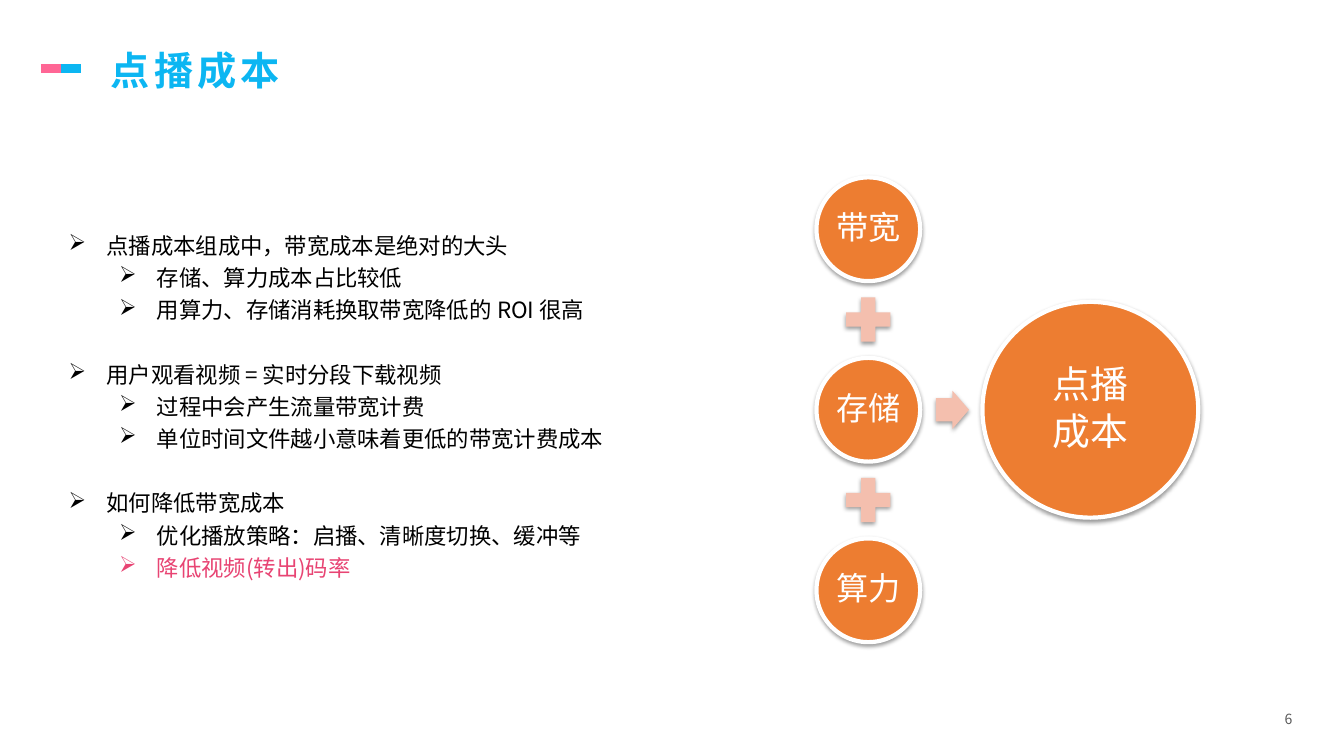
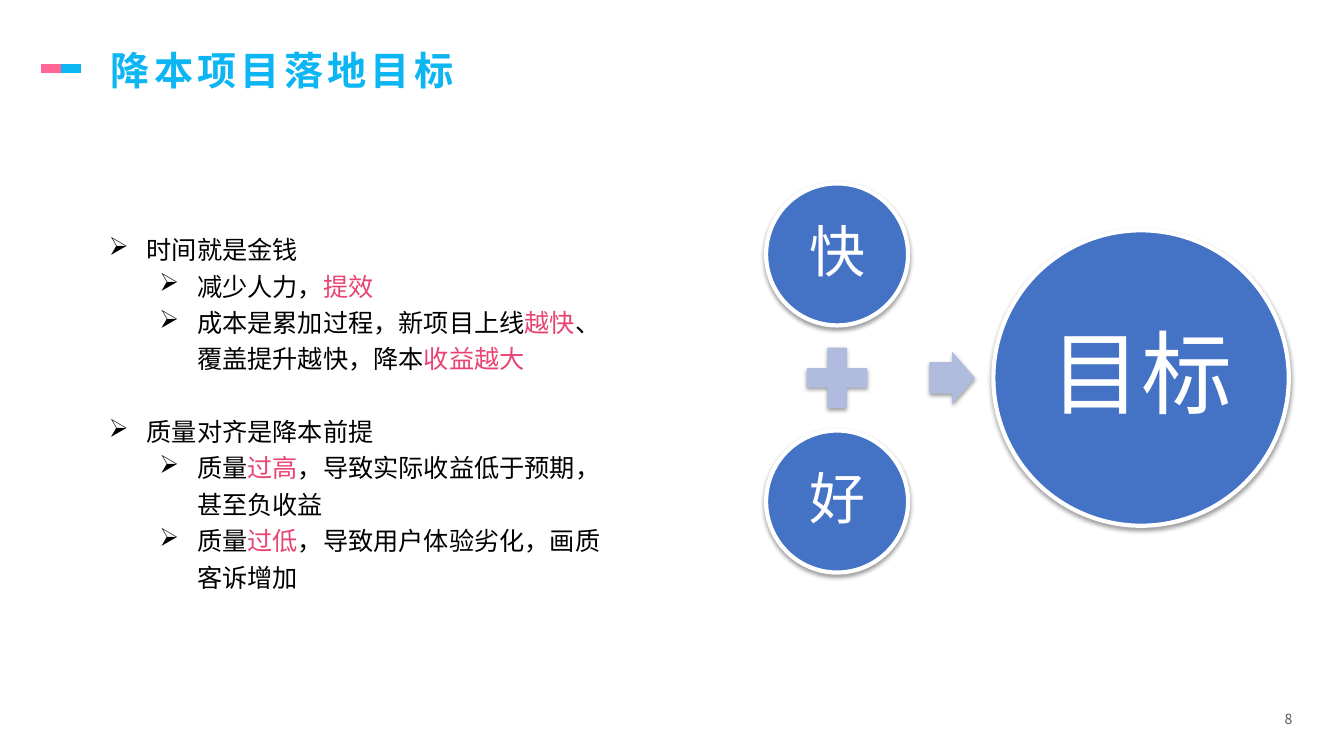
from itertools import cycle

from lxml.etree import SubElement
from pptx import Presentation
from pptx.dml.color import RGBColor
from pptx.enum.shapes import MSO_CONNECTOR as LINE, MSO_SHAPE as SHAPE
from pptx.enum.text import MSO_ANCHOR as ANCHOR, PP_ALIGN as ALIGN
from pptx.oxml.ns import qn
from pptx.util import Pt

FONT = "Noto Sans CJK SC"
SKY = RGBColor(0x0C, 0xB6, 0xF2)
ROSE = RGBColor(0xFF, 0x66, 0x95)
PINK = RGBColor(0xE8, 0x44, 0x73)
INK = RGBColor(0, 0, 0)
GREY = RGBColor(0x59, 0x59, 0x59)
WHITE = RGBColor(0xFF, 0xFF, 0xFF)
ORANGE = RGBColor(0xED, 0x7D, 0x31)
PEACH = RGBColor(0xF4, 0xBF, 0xAE)
BLUE = RGBColor(0x44, 0x72, 0xC4)
PALE_BLUE = RGBColor(0xB0, 0xBC, 0xDE)


def add_run(paragraph, words, size, color, bold=False):
    """Add one styled run and return it."""
    run = paragraph.add_run()
    run.text = words
    font = run.font
    font.size, font.bold, font.name = Pt(size), bold, FONT
    font.color.rgb = color
    SubElement(font._element, qn("a:ea"), typeface=FONT)
    return run


def set_frame(shape, across, down):
    """Prepare a wrapping, vertically centred text frame."""
    frame = shape.text_frame
    frame.word_wrap = True
    frame.vertical_anchor = ANCHOR.MIDDLE
    frame.margin_left = frame.margin_right = Pt(across)
    frame.margin_top = frame.margin_bottom = Pt(down)
    return frame


def add_text_box(slide, box, across, down):
    """Add a text box and return its frame."""
    return set_frame(slide.shapes.add_textbox(*map(Pt, box)), across, down)


def add_header(slide, title, box):
    """Draw the two-colour dash and the title in the given box."""
    left, top, width, height = box
    middle, dash = top + 27.4, 14.25
    for i, color in enumerate((ROSE, SKY)):
        start = left + i * dash
        line = slide.shapes.add_connector(
            LINE.STRAIGHT, Pt(start), Pt(middle), Pt(start + dash), Pt(middle))
        line.line.color.rgb, line.line.width = color, Pt(6)
        SubElement(line._element.spPr, qn("a:effectLst"))
    frame = add_text_box(slide, (left + 42.7, top, width - 42.7, height), 7.2, 3.6)
    run = add_run(frame.paragraphs[0], title, 28, SKY, True)
    run.font._element.set("spc", "300")


def add_page_number(slide, number, box):
    """Write the page number at the right of its box."""
    paragraph = add_text_box(slide, box, 7.2, 3.6).paragraphs[0]
    paragraph.alignment = ALIGN.RIGHT
    add_run(paragraph, str(number), 10, GREY)


def add_outline(slide, groups, size, box):
    """List groups of points; each point alternates plain and pink parts."""
    frame = add_text_box(slide, box, 5.8, 5.8)
    pitch = round(size * 1.44)
    paragraph = None
    for group in groups:
        for level, parts in enumerate(group):
            first = paragraph is None
            paragraph = frame.paragraphs[0] if first else frame.add_paragraph()
            paragraph.level = min(level, 1)
            paragraph.line_spacing = Pt(pitch)
            if level == 0 and not first:
                paragraph.space_before = Pt(pitch)
            props = paragraph._p.get_or_add_pPr()
            props.set("marL", str(Pt(27 + 36 * paragraph.level)))
            props.set("indent", str(Pt(-27)))
            SubElement(props, qn("a:buChar"), char="➢")
            for words, color in zip(parts, cycle((INK, PINK))):
                if words:
                    add_run(paragraph, words, size, color)


def add_solid(slide, kind, box, color):
    """Add a filled preset shape with a soft shadow below it."""
    shape = slide.shapes.add_shape(kind, *map(Pt, box))
    shape.fill.solid()
    shape.fill.fore_color.rgb = color
    shape.line.fill.background()
    shape.shadow.inherit = False
    effects = shape._element.spPr.find(qn("a:effectLst"))
    shadow = SubElement(effects, qn("a:outerShdw"), blurRad=str(Pt(3.1)),
                        dist=str(Pt(1.6)), dir="5400000", rotWithShape="0")
    shade = SubElement(shadow, qn("a:srgbClr"), val="000000")
    SubElement(shade, qn("a:alpha"), val="38000")
    return shape


def add_disc(slide, lines, size, box, color):
    """Add a white-rimmed circle with centred lines."""
    disc = add_solid(slide, SHAPE.OVAL, box, color)
    disc.line.color.rgb, disc.line.width = WHITE, Pt(3)
    frame = set_frame(disc, 2, 2)
    for i, words in enumerate(lines):
        paragraph = frame.add_paragraph() if i else frame.paragraphs[0]
        paragraph.alignment = ALIGN.CENTER
        paragraph.line_spacing = 0.9
        if i:
            paragraph.space_before = Pt(4)
        add_run(paragraph, words, size, WHITE)


def add_equation(slide, terms, result, sizes, colors, box):
    """Stack terms joined by plus signs, with an arrow to the result."""
    left, top, height = box
    strong, pale = colors
    term_size, result_size = sizes
    disc = height / (len(terms) + 0.74 * (len(terms) - 1))
    plus, gap = 0.58 * disc, 0.08 * disc
    for i, term in enumerate(terms):
        y = top + i * (disc + plus + 2 * gap)
        if i:
            add_solid(slide, SHAPE.MATH_PLUS,
                      (left + (disc - plus) / 2, y - gap - plus, plus, plus), pale)
        add_disc(slide, [term], term_size, (left, y, disc, disc), strong)
    middle = top + height / 2
    arrow_width, arrow_height, total = 0.32 * disc, 0.37 * disc, 2.08 * disc
    arrow_left = left + 1.15 * disc
    arrow = add_solid(slide, SHAPE.RIGHT_ARROW,
                      (arrow_left, middle - arrow_height / 2, arrow_width, arrow_height), pale)
    arrow.adjustments[0], arrow.adjustments[1] = 0.6, 0.5
    add_disc(slide, result, result_size,
             (arrow_left + arrow_width + 0.13 * disc, middle - total / 2, total, total), strong)


def add_page(deck, number, title):
    """Add a blank slide with the shared header and page number."""
    slide = deck.slides.add_slide(deck.slide_layouts[6])
    add_header(slide, title, (29.3, 21.6, 794.4, 56.9))
    add_page_number(slide, number, (776.2, 505.4, 154, 16))
    return slide


def add_cost_slide(deck):
    """Build the slide on what video playback costs."""
    slide = add_page(deck, 6, "点播成本")
    add_equation(slide, ["带宽", "存储", "算力"], ["点播", "成本"], (23, 27),
                 (ORANGE, PEACH), (583.2, 126.7, 332))
    add_outline(slide, [
        [["点播成本组成中，带宽成本是绝对的大头"],
         ["存储、算力成本占比较低"],
         ["用算力、存储消耗换取带宽降低的 ROI 很高"]],
        [["用户观看视频 = 实时分段下载视频"],
         ["过程中会产生流量带宽计费"],
         ["单位时间文件越小意味着更低的带宽计费成本"]],
        [["如何降低带宽成本"],
         ["优化播放策略：启播、清晰度切换、缓冲等"],
         ["", "降低视频(转出)码率"]],
    ], 16, (43.2, 90, 493.2, 396.7))


def add_goal_slide(deck):
    """Build the slide on the goals of the cost project."""
    slide = add_page(deck, 8, "降本项目落地目标")
    add_equation(slide, ["快", "好"], ["目标"], (40, 65),
                 (BLUE, PALE_BLUE), (547.2, 131, 278))
    add_outline(slide, [
        [["时间就是金钱"],
         ["减少人力，", "提效"],
         ["成本是累加过程，新项目上线", "越快", "、覆盖提升越快，降本", "收益越大"]],
        [["质量对齐是降本前提"],
         ["质量", "过高", "，导致实际收益低于预期，甚至负收益"],
         ["质量", "过低", "，导致用户体验劣化，画质客诉增加"]],
    ], 18, (72, 87.1, 373.7, 411.8))


def main():
    """Build and save the deck."""
    deck = Presentation()
    deck.slide_width, deck.slide_height = Pt(960), Pt(540)
    add_cost_slide(deck)
    add_goal_slide(deck)
    deck.save("out.pptx")


if __name__ == "__main__":
    main()
